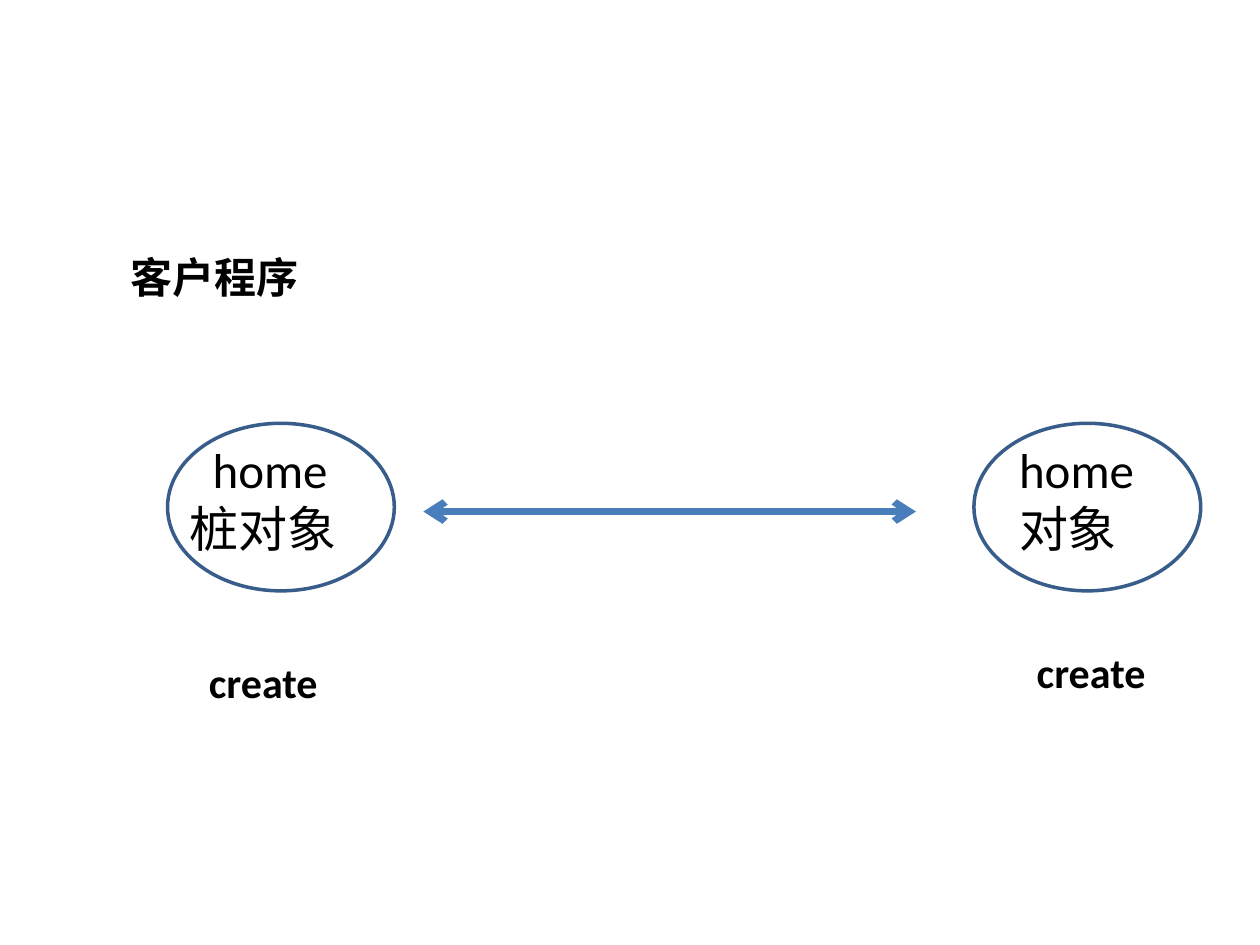
from lxml.etree import SubElement
from pptx import Presentation
from pptx.dml.color import RGBColor
from pptx.enum.shapes import MSO_CONNECTOR, MSO_SHAPE
from pptx.oxml.ns import qn
from pptx.util import Inches, Pt


def color(hex_code):
    return RGBColor.from_string(hex_code)


def add_text(shapes, box, lines, size, bold=False):
    """Place lines of (text, left indent in inches) in the given box."""
    label = shapes.add_textbox(*map(Inches, box))
    frame = label.text_frame
    frame.word_wrap = True
    for i, (text, indent) in enumerate(lines):
        paragraph = frame.paragraphs[0] if i == 0 else frame.add_paragraph()
        paragraph.text = text
        if indent:
            paragraph_format = paragraph._p.get_or_add_pPr()
            paragraph_format.set("marL", str(Inches(indent)))
            paragraph_format.set("indent", "0")
        paragraph.font.name = "Calibri"
        paragraph.font.size = Pt(size)
        paragraph.font.bold = bold
        paragraph.font.color.rgb = color("000000")


def add_object(slide, box, lines):
    """Group an outlined ellipse with its two-line label."""
    left, top, width, height = box
    group = slide.shapes.add_group_shape()
    ellipse = group.shapes.add_shape(MSO_SHAPE.OVAL, *map(Inches, box))
    ellipse.shadow.inherit = False
    ellipse.fill.background()
    ellipse.line.color.rgb = color("385D8A")
    ellipse.line.width = Pt(2)
    add_text(group.shapes, (left, top + 0.08, width - 0.16, 1.04), lines, 28)


def add_double_arrow(slide, left, right, y):
    arrow = slide.shapes.add_connector(
        MSO_CONNECTOR.STRAIGHT, Inches(left), Inches(y), Inches(right), Inches(y))
    arrow.line.color.rgb = color("4A7EBB")
    arrow.line.width = Pt(4)
    outline = arrow.line._get_or_add_ln()
    for end in ("a:headEnd", "a:tailEnd"):
        SubElement(outline, qn(end), type="arrow")
    SubElement(arrow._element.spPr, qn("a:effectLst"))


def build_slide(prs):
    slide = prs.slides.add_slide(prs.slide_layouts[6])

    # Client program heading
    add_text(slide.shapes, (0.94, 1.95, 1.56, 0.5), [("客户程序", 0)], 24, True)

    # Home stub and home object, linked both ways
    add_object(slide, (1.33, 3.36, 1.8, 1.33), [("home", 0.26), ("桩对象", 0.08)])
    add_object(slide, (7.73, 3.36, 1.8, 1.33), [("home", 0.26), ("对象", 0.26)])
    add_double_arrow(slide, 3.36, 7.27, 4.06)

    # Method names under the objects
    for left, top in ((1.56, 5.16), (8.13, 5.08)):
        add_text(slide.shapes, (left, top, 1.33, 0.5), [("create", 0)], 24, True)


def main():
    prs = Presentation()
    prs.slide_width, prs.slide_height = Inches(10), Inches(7.5)
    build_slide(prs)
    prs.save("out.pptx")


if __name__ == "__main__":
    main()
